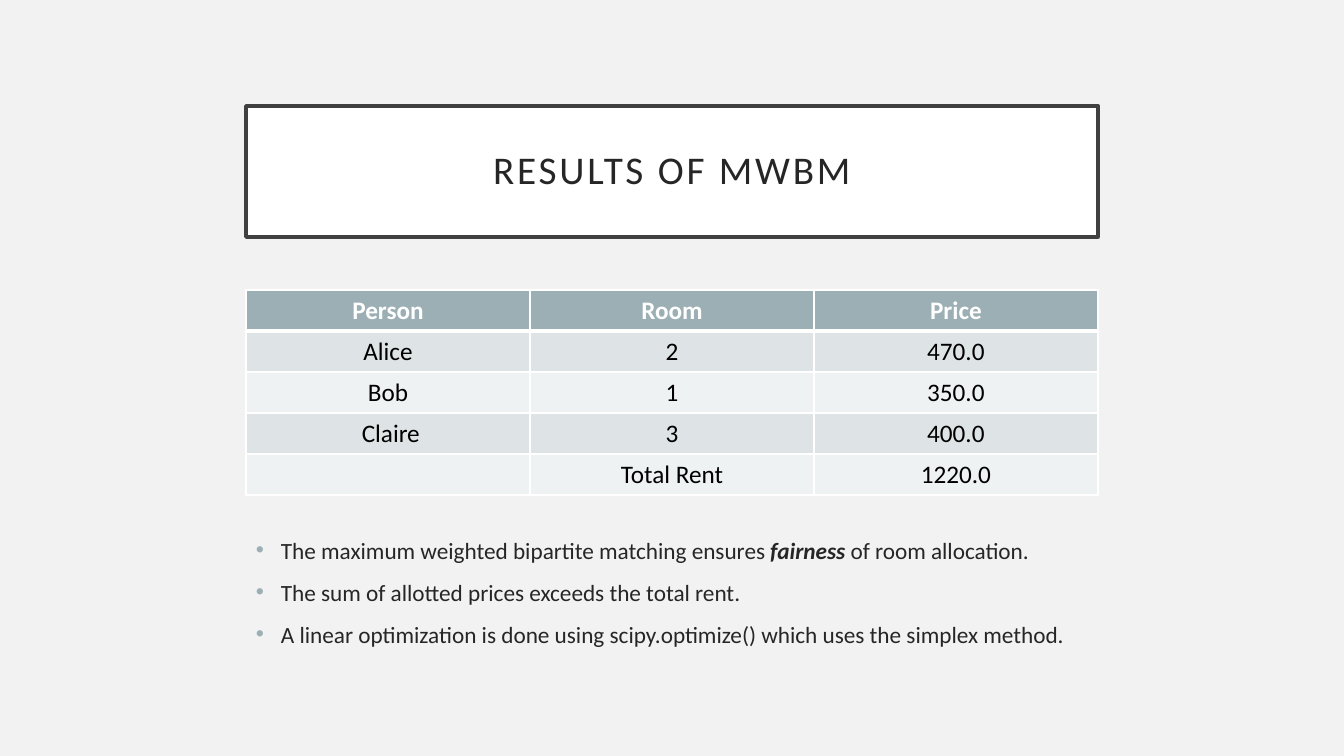
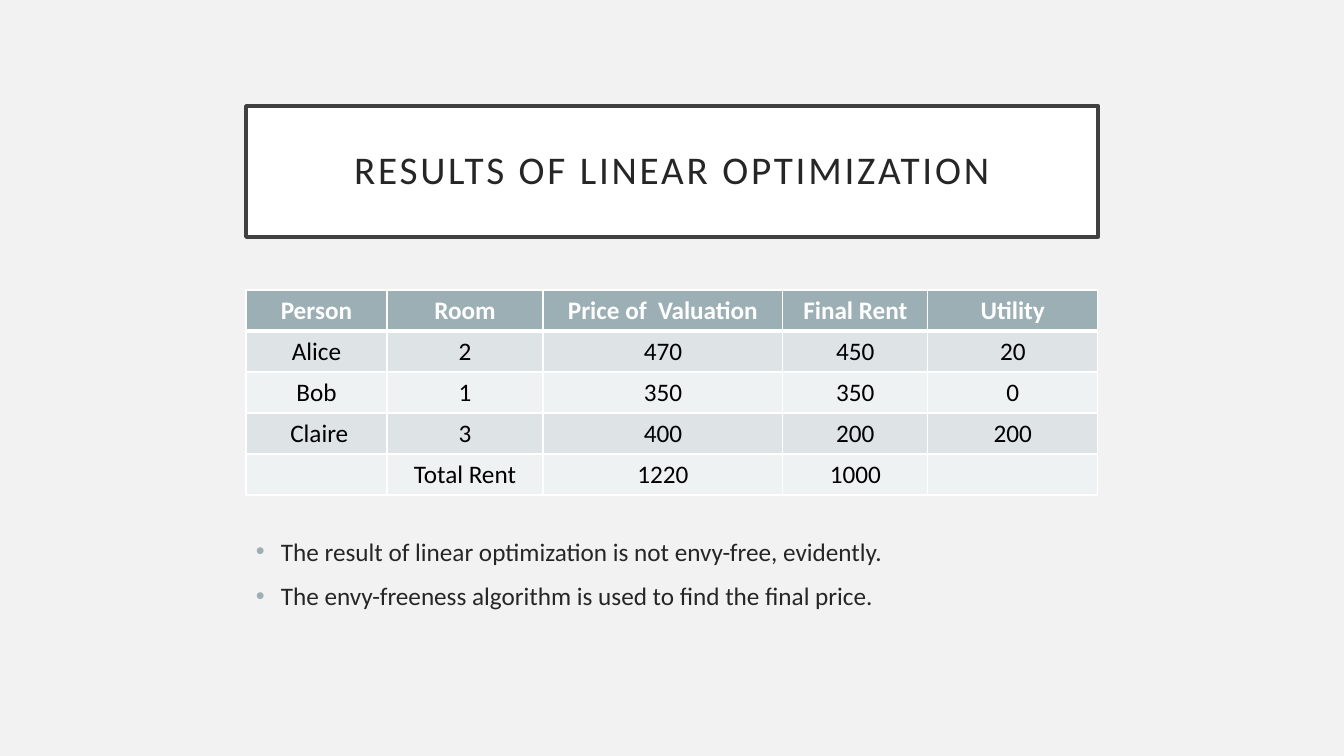
import pptx
import pptx.dml.color
import pptx.enum.shapes
import pptx.enum.text
import pptx.oxml
import pptx.oxml.ns
import pptx.util
from lxml import etree

RGBColor = pptx.dml.color.RGBColor
PAGE = RGBColor(0xF2, 0xF2, 0xF2)
WHITE = RGBColor(0xFF, 0xFF, 0xFF)
BLACK = RGBColor(0x00, 0x00, 0x00)
FRAME = RGBColor(0x40, 0x40, 0x40)
INK = RGBColor(0x26, 0x26, 0x26)
ACCENT = RGBColor(0x9B, 0xAF, 0xB5)
BANDS = (RGBColor(0xEF, 0xF2, 0xF3), RGBColor(0xDE, 0xE3, 0xE5))

FONT = "Calibri"
EMU_PER_PIXEL = 914400 / 100.8
LEFT, WIDTH = 246, 852
ROW_HEIGHT = 41
CENTER = pptx.enum.text.PP_ALIGN.CENTER


def pixels(length):
    return pptx.util.Emu(round(length * EMU_PER_PIXEL))


def box(left, top, width, height):
    return [pixels(length) for length in (left, top, width, height)]


def add_text(paragraph, text, size=18, color=INK, bold=False, italic=False, spacing=None):
    run = paragraph.add_run()
    run.text = text
    font = run.font
    font.name, font.size = FONT, pptx.util.Pt(size)
    font.bold, font.italic = bold, italic
    font.color.rgb = color
    if spacing:
        run._r.get_or_add_rPr().set("spc", str(spacing * 100))


def add_title(slide, text):
    shape = slide.shapes.add_shape(
        pptx.enum.shapes.MSO_SHAPE.RECTANGLE, *box(LEFT, 106, WIDTH, 131))
    shape.shadow.inherit = False
    shape.fill.solid()
    shape.fill.fore_color.rgb = WHITE
    shape.line.color.rgb = FRAME
    shape.line.width = pptx.util.Pt(2.5)
    frame = shape.text_frame
    frame.word_wrap = True
    frame.vertical_anchor = pptx.enum.text.MSO_ANCHOR.MIDDLE
    frame.margin_left = frame.margin_right = pixels(20)
    frame.margin_top = frame.margin_bottom = pixels(20)
    paragraph = frame.paragraphs[0]
    paragraph.alignment = CENTER
    paragraph.line_spacing = 0.9
    add_text(paragraph, text, size=28, spacing=2)


def set_borders(cell, top, bottom):
    properties = cell._tc.get_or_add_tcPr()
    for side, points in (("L", 1), ("R", 1), ("T", top), ("B", bottom)):
        properties.append(pptx.oxml.parse_xml(
            f'<a:ln{side} {pptx.oxml.ns.nsdecls("a")} w="{points * 12700}">'
            f'<a:solidFill><a:srgbClr val="{WHITE}"/></a:solidFill></a:ln{side}>'))


def add_table(slide, rows, column_widths):
    table = slide.shapes.add_table(
        len(rows), len(column_widths),
        *box(LEFT, 290, WIDTH, ROW_HEIGHT * len(rows))).table
    for column, width in zip(table.columns, column_widths):
        column.width = pixels(width)
    for row_index, values in enumerate(rows):
        table.rows[row_index].height = pixels(ROW_HEIGHT)
        header = row_index == 0
        for column_index, value in enumerate(values):
            cell = table.cell(row_index, column_index)
            set_borders(cell, top=3 if row_index == 1 else 1, bottom=3 if header else 1)
            cell.fill.solid()
            cell.fill.fore_color.rgb = ACCENT if header else BANDS[row_index % 2]
            if value:
                paragraph = cell.text_frame.paragraphs[0]
                paragraph.alignment = CENTER
                add_text(paragraph, value, color=WHITE if header else BLACK, bold=header)


def set_bullet(paragraph):
    properties = paragraph._p.get_or_add_pPr()
    indent = pixels(25)
    properties.set("marL", str(indent))
    properties.set("indent", str(-indent))
    color = etree.SubElement(properties, pptx.oxml.ns.qn("a:buClr"))
    etree.SubElement(color, pptx.oxml.ns.qn("a:srgbClr"), val=str(ACCENT))
    etree.SubElement(properties, pptx.oxml.ns.qn("a:buFont"), typeface="Arial")
    etree.SubElement(properties, pptx.oxml.ns.qn("a:buChar"), char="•")


def add_bullets(slide, items, size):
    frame = slide.shapes.add_textbox(*box(LEFT, 531, WIDTH, 124)).text_frame
    frame.word_wrap = True
    for index, item in enumerate(items):
        paragraph = frame.add_paragraph() if index else frame.paragraphs[0]
        paragraph.space_before = pptx.util.Pt(10)
        set_bullet(paragraph)
        for text, emphasis in item:
            add_text(paragraph, text, size=size, bold=emphasis, italic=emphasis)


def add_results_slide(presentation, title, rows, column_widths, bullets, bullet_size):
    slide = presentation.slides.add_slide(presentation.slide_layouts[6])
    slide.background.fill.solid()
    slide.background.fill.fore_color.rgb = PAGE
    add_title(slide, title)
    add_bullets(slide, bullets, bullet_size)
    add_table(slide, rows, column_widths)


def main():
    presentation = pptx.Presentation()
    presentation.slide_width, presentation.slide_height = pixels(1344), pixels(756)
    add_results_slide(
        presentation, "RESULTS OF MWBM",
        [("Person", "Room", "Price"),
         ("Alice", "2", "470.0"),
         ("Bob", "1", "350.0"),
         (" Claire", "3", "400.0"),
         ("", "Total Rent", "1220.0")],
        [WIDTH / 3] * 3,
        [[("The maximum weighted bipartite matching ensures ", False),
          ("fairness", True), (" of room allocation.", False)],
         [("The sum of allotted prices exceeds the total rent.", False)],
         [("A linear optimization is done using scipy.optimize() "
           "which uses the simplex method.", False)]],
        16.6)
    add_results_slide(
        presentation, "RESULTS OF LINEAR OPTIMIZATION",
        [("Person", "Room", "Price of  Valuation", "Final Rent", "Utility"),
         ("Alice", "2", "470", "450", "20"),
         ("Bob", "1", "350", "350", "0"),
         (" Claire", "3", "400", "200", "200"),
         ("", "Total Rent", "1220", "1000", "")],
        [141, 156, 240, 145, 170],
        [[("The result of linear optimization is not envy-free, evidently.", False)],
         [("The envy-freeness algorithm is used to find the final price.", False)]],
        18)
    presentation.save("out.pptx")


main()
